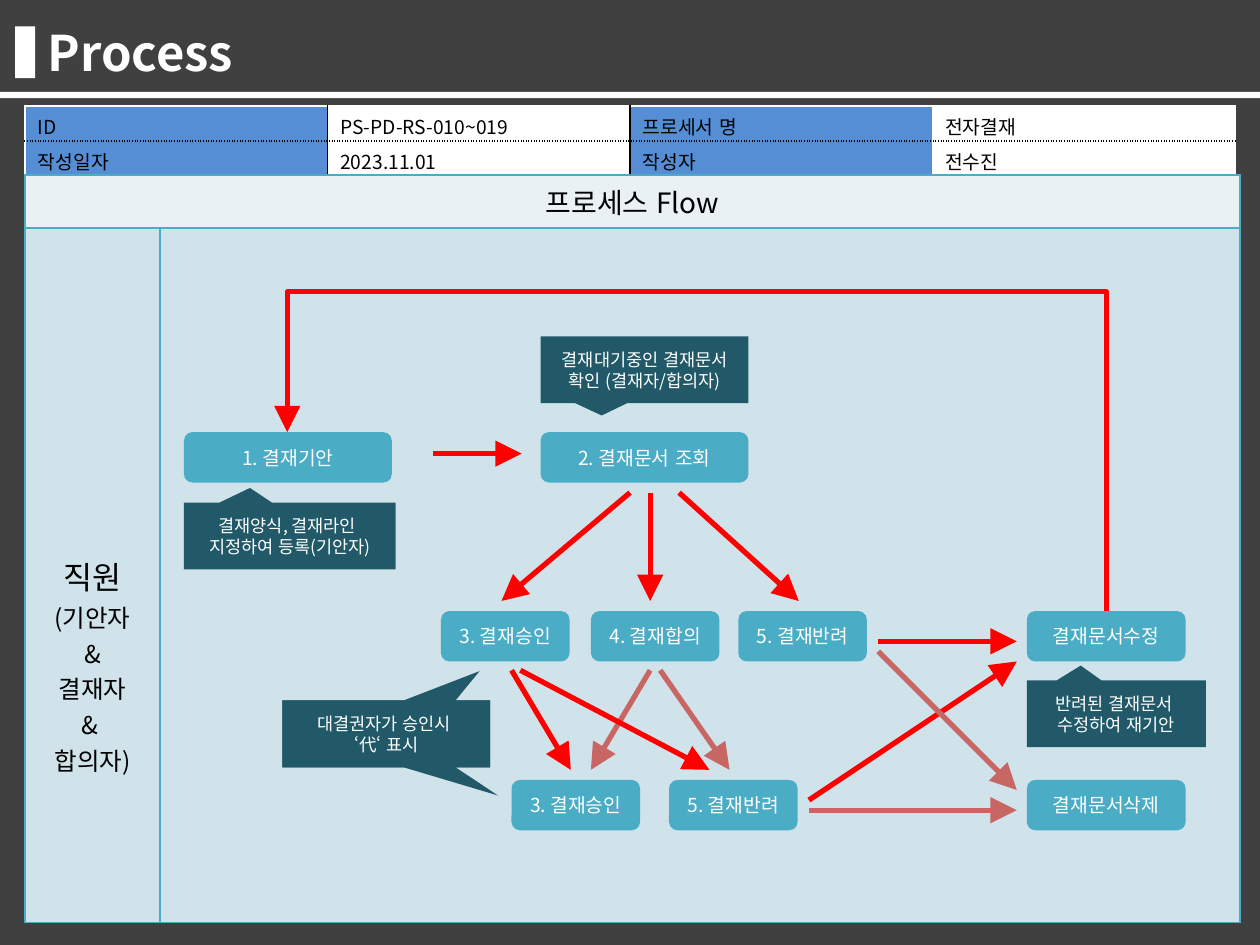
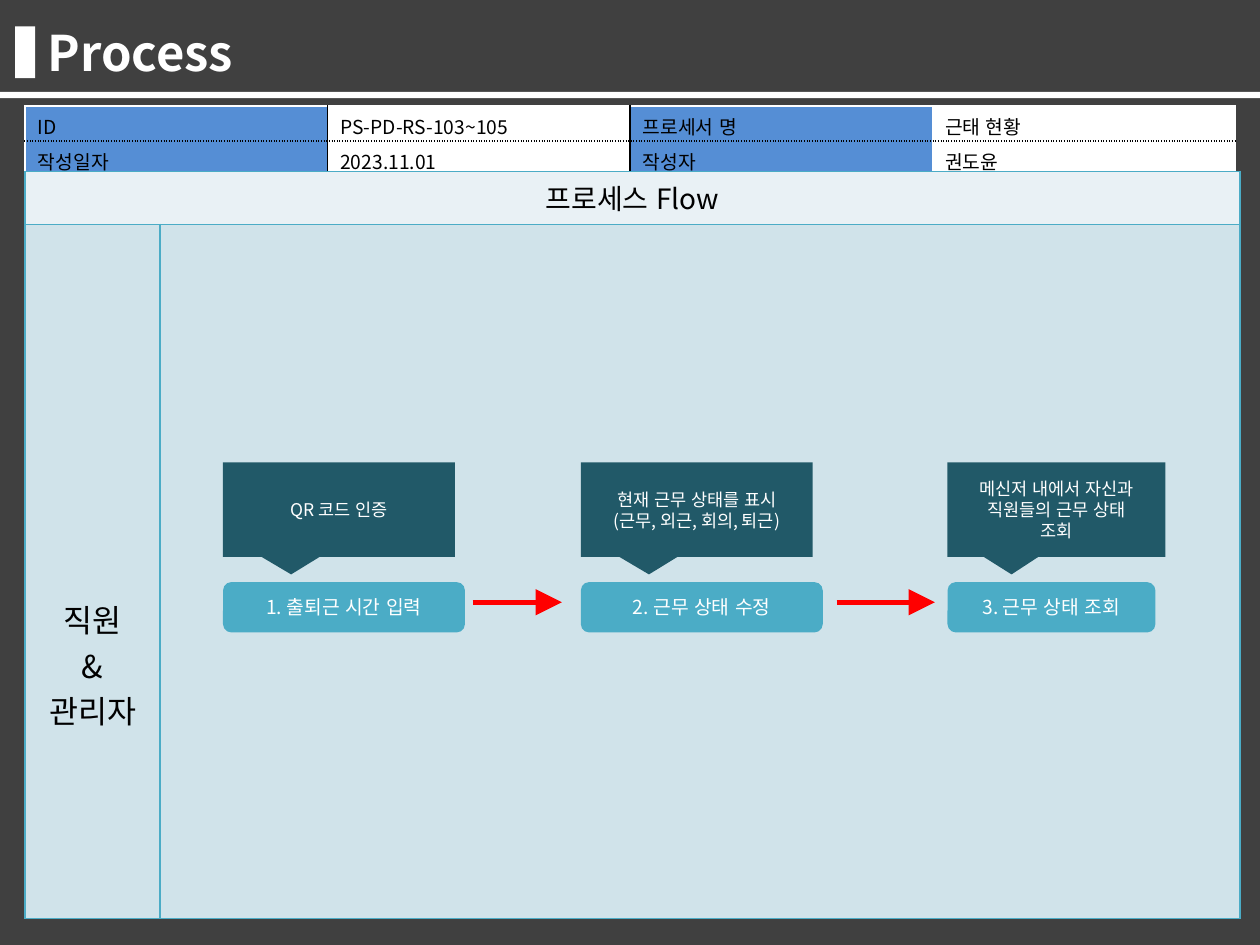
from lxml import etree
from pptx import Presentation
from pptx.dml.color import RGBColor
from pptx.enum.lang import MSO_LANGUAGE_ID as LANGUAGE
from pptx.enum.shapes import MSO_CONNECTOR as LINK, MSO_SHAPE as SHAPE
from pptx.enum.text import MSO_ANCHOR as ANCHOR, PP_ALIGN as ALIGN
from pptx.oxml.ns import qn
from pptx.util import Inches, Pt

FONT = "Noto Sans CJK KR"
COLORS = {
    "back": "404040", "white": "FFFFFF", "black": "000000",
    "label": "558ED5", "header": "E9F1F5", "lane": "D0E3EA",
    "step": "4BACC6", "note": "215968", "main": "FF0000", "side": "C86664",
}
NOTE_BELOW = (-0.206, 0.685)

deck = Presentation()
deck.slide_width, deck.slide_height = Inches(10), Inches(7.5)


def write(frame, lines, color, align=ALIGN.CENTER):
    frame.word_wrap = True
    for index, (text, size) in enumerate(lines):
        para = frame.paragraphs[0] if index == 0 else frame.add_paragraph()
        para.alignment = align
        span = para.add_run()
        span.text = text
        span.font.name = FONT
        span.font.size = Pt(size)
        span.font.language_id = LANGUAGE.KOREAN
        span.font.color.rgb = RGBColor.from_string(COLORS[color])
        etree.SubElement(span._r.get_or_add_rPr(), qn("a:ea"), typeface=FONT)


def block(page, kind, place, fill, lines=(), adjust=()):
    box = page.shapes.add_shape(kind, *[Inches(value) for value in place])
    box.shadow.inherit = False
    box.fill.solid()
    box.fill.fore_color.rgb = RGBColor.from_string(COLORS[fill])
    box.line.fill.background()
    for index, value in enumerate(adjust):
        box.adjustments[index] = value
    box.text_frame.vertical_anchor = ANCHOR.MIDDLE
    write(box.text_frame, lines, "white")
    return box


process_pages = [
    {
        "info": [("ID ", "PS-PD-RS-010~019", "프로세서 명", "전자결재"),
                 ("작성일자", "2023.11.01", "작성자", "전수진"),
                 ("", "", "", "")],
        "flow_top": 1.39,
        "lane_space": 2.58,
        "lane": [("직원", 18), ("(기안자", 14), ("&", 14), ("결재자", 14), ("& ", 14), ("합의자)", 14)],
        "steps": [
            (1.46, 3.43, 1.65, "1. 결재기안"),
            (4.29, 3.43, 1.65, "2. 결재문서 조회"),
            (3.5, 4.85, 1.02, "3. 결재승인"),
            (4.69, 4.85, 1.02, "4. 결재합의"),
            (5.86, 4.85, 1.02, "5. 결재반려"),
            (8.15, 4.85, 1.26, "결재문서수정"),
            (4.06, 6.19, 1.02, "3. 결재승인"),
            (5.31, 6.19, 1.02, "5. 결재반려"),
            (8.15, 6.19, 1.26, "결재문서삭제"),
        ],
        "notes": [
            ((1.46, 3.99, 1.68, 0.53), (-0.188, -0.722), ["결재양식, 결재라인 ", "지정하여 등록(기안자)"]),
            ((4.29, 2.67, 1.65, 0.53), NOTE_BELOW, ["결재대기중인 결재문서 확인 (결재자/합의자)"]),
            ((8.15, 5.4, 1.42, 0.53), (-0.199, -0.722), ["반려된 결재문서 ", "수정하여 재기안"]),
            ((2.24, 5.56, 1.65, 0.53), (0.537, 0.922), []),
            ((2.24, 5.56, 1.65, 0.53), (0.449, -0.94), ["대결권자가 승인시 ", "‘代‘ 표시"]),
        ],
        "arrows": [
            ((3.44, 3.6, 4.14, 3.6), "main"),
            ((5, 3.91, 3.98, 4.77), "main"),
            ((5.16, 3.91, 5.16, 4.77), "main"),
            ((5.39, 3.91, 6.34, 4.77), "main"),
            ((5.16, 5.32, 4.69, 6.11), "side"),
            ((4.06, 5.32, 4.53, 6.11), "main"),
            ((4.13, 5.32, 5.63, 6.11), "main"),
            ((5.24, 5.32, 5.79, 6.11), "side"),
            ((6.97, 5.09, 8.07, 5.09), "main"),
            ((6.42, 6.35, 8.07, 5.25), "main"),
            ((6.97, 5.17, 8.07, 6.27), "side"),
            ((6.42, 6.43, 8.07, 6.43), "side"),
        ],
        "return_arrow": (4.82, 7.39, 6.24, 0.89),
    },
    {
        "info": [("ID ", "PS-PD-RS-103~105", "프로세서 명", "근태 현황"),
                 ("작성일자", "2023.11.01", "작성자", "권도윤")],
        "flow_top": 1.36,
        "lane_space": 2.95,
        "lane": [("직원", 18), ("&", 18), ("관리자", 18)],
        "steps": [
            (1.77, 4.62, 1.92, "1. 출퇴근 시간 입력"),
            (4.61, 4.62, 1.92, "2. 근무 상태 수정"),
            (7.52, 4.62, 1.65, "3. 근무 상태 조회"),
        ],
        "notes": [
            ((1.77, 3.67, 1.84, 0.75), NOTE_BELOW, ["QR 코드 인증"]),
            ((4.61, 3.67, 1.84, 0.75), NOTE_BELOW, ["현재 근무 상태를 표시", "(근무, 외근, 회의, 퇴근)"]),
            ((7.52, 3.67, 1.73, 0.75), NOTE_BELOW, ["메신저 내에서 자신과 직원들의 근무 상태", "조회"]),
        ],
        "arrows": [
            ((3.75, 4.78, 4.46, 4.78), "main"),
            ((6.64, 4.78, 7.42, 4.78), "main"),
        ],
        "return_arrow": None,
    },
]

for content in process_pages:
    page = deck.slides.add_slide(deck.slide_layouts[5])
    backdrop = block(page, SHAPE.RECTANGLE, (0, 0, 10, 7.5), "back")
    title = page.shapes.title
    backdrop._element.addnext(title._element)
    title.left, title.top = Inches(0.28), Inches(0.13)
    title.width, title.height = Inches(8.98), Inches(0.57)
    title.text_frame.vertical_anchor = ANCHOR.MIDDLE
    write(title.text_frame, [("Process", 28)], "white", ALIGN.LEFT)
    title.text_frame.paragraphs[0].runs[0].font.bold = True
    block(page, SHAPE.RECTANGLE, (0.12, 0.21, 0.16, 0.41), "white")
    block(page, SHAPE.RECTANGLE, (0, 0.73, 10, 0.05), "white")

    count = len(content["info"])
    info = page.shapes.add_table(count, 4, Inches(0.2), Inches(0.84),
                                 Inches(9.6), Inches(0.28 * count)).table
    flow = page.shapes.add_table(2, 2, Inches(0.2), Inches(content["flow_top"]),
                                 Inches(9.64), Inches(5.93)).table
    for table, widths, heights in [(info, [2.4] * 4, [0.28] * count), (flow, [1.07, 8.57], [0.42, 5.51])]:
        for column, width in zip(table.columns, widths):
            column.width = Inches(width)
        for row, height in zip(table.rows, heights):
            row.height = Inches(height)

    styled_cells = []
    uprights = ["white", "black", "black", "white", "white"]
    levels = [("white", "solid")] + [("black", "sysDot")] * (count - 1) + [("black", "solid")]
    for row, texts in enumerate(content["info"]):
        for column, text in enumerate(texts):
            cell = info.cell(row, column)
            cell.margin_top, cell.margin_bottom = Inches(0.05), Inches(0)
            write(cell.text_frame, [(text, 11)], "black", ALIGN.LEFT)
            borders = [(uprights[column], "solid"), (uprights[column + 1], "solid"),
                       levels[row], levels[row + 1]]
            styled_cells.append((cell, "white" if column % 2 else "label", borders))

    flow.cell(0, 0).merge(flow.cell(0, 1))
    write(flow.cell(0, 0).text_frame, [("프로세스 Flow", 16)], "black")
    flow.cell(1, 0).margin_top = Inches(content["lane_space"])
    write(flow.cell(1, 0).text_frame, content["lane"], "black")
    for row, fill in enumerate(["header", "lane"]):
        for column in range(2):
            styled_cells.append((flow.cell(row, column), fill, [("step", "solid")] * 4))

    for cell, fill, borders in styled_cells:
        properties = cell._tc.get_or_add_tcPr()
        for side, (color, dash) in zip(["a:lnL", "a:lnR", "a:lnT", "a:lnB"], borders):
            edge = etree.SubElement(properties, qn(side), w=str(Pt(1)))
            etree.SubElement(etree.SubElement(edge, qn("a:solidFill")), qn("a:srgbClr"), val=COLORS[color])
            etree.SubElement(edge, qn("a:prstDash"), val=dash)
        cell.fill.solid()
        cell.fill.fore_color.rgb = RGBColor.from_string(COLORS[fill])

    for left, top, width, text in content["steps"]:
        block(page, SHAPE.ROUNDED_RECTANGLE, (left, top, width, 0.4), "step", [(text, 11)], [0.167])
    for place, pointer, lines in content["notes"]:
        block(page, SHAPE.RECTANGULAR_CALLOUT, place, "note", [(line, 10) for line in lines], pointer)

    links = [(LINK.STRAIGHT, ends, color) for ends, color in content["arrows"]]
    if content["return_arrow"]:
        links.append((LINK.ELBOW, content["return_arrow"], "main"))
    for kind, ends, color in links:
        arrow = page.shapes.add_connector(kind, *[Inches(value) for value in ends])
        arrow.line.color.rgb = RGBColor.from_string(COLORS[color])
        arrow.line.width = Pt(3)
        etree.SubElement(arrow.line._get_or_add_ln(), qn("a:tailEnd"), type="triangle", w="lg", len="lg")
        properties = arrow._element.spPr
        etree.SubElement(properties, qn("a:effectLst"))
        if kind == LINK.ELBOW:
            properties.find(qn("a:xfrm")).set("rot", str(270 * 60000))
            guides = properties.find(qn("a:prstGeom")).find(qn("a:avLst"))
            etree.SubElement(guides, qn("a:gd"), name="adj1", fmla="val 178500")

deck.save("out.pptx")
